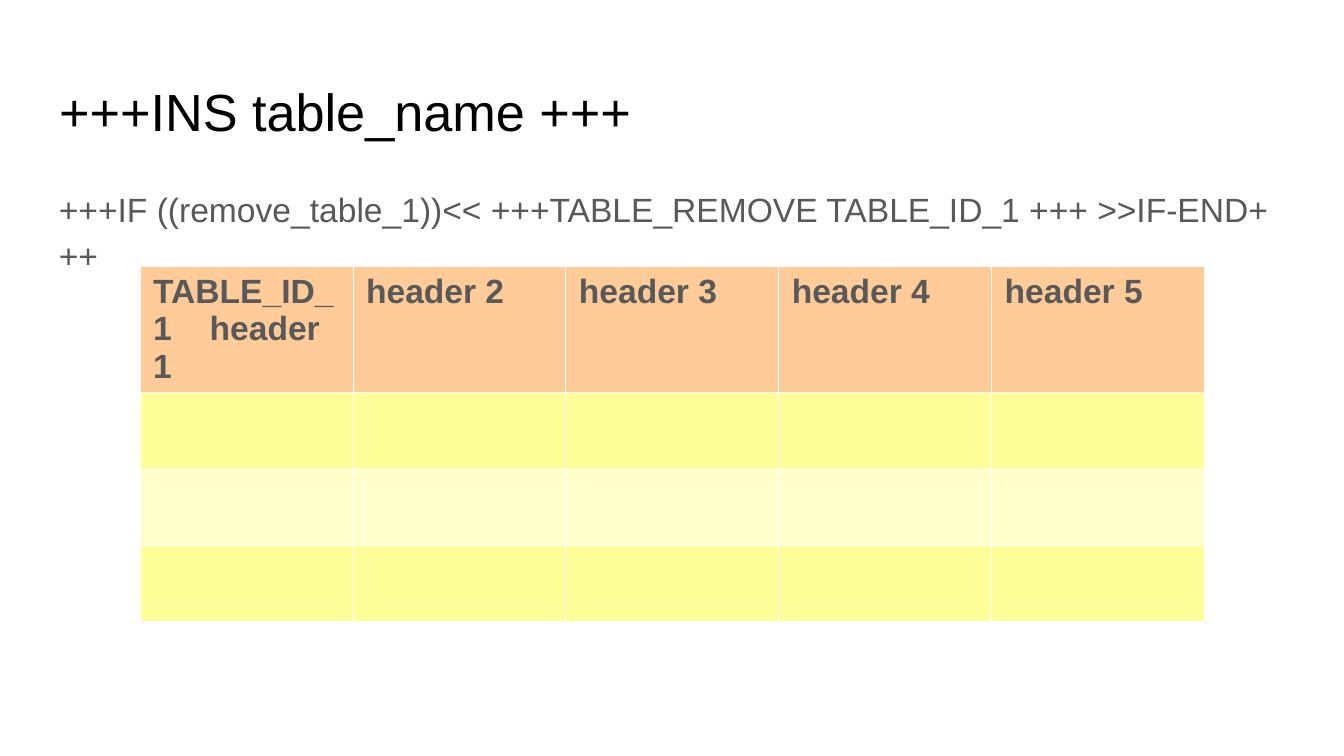
import pptx
import pptx.dml.color
import pptx.enum.text
import pptx.oxml
import pptx.oxml.ns
import pptx.util

SLIDE_WIDTH = pptx.util.Inches(10)
SLIDE_HEIGHT = SLIDE_WIDTH * 9 // 16
GRID_UNIT = SLIDE_WIDTH // 100
FONT = "Arial"
COLORS = {
    "page": "FFFFFF",
    "title": "000000",
    "text": "595959",
    "header": "FFCC99",
    "odd": "FFFF99",
    "even": "FFFFCC",
    "border": "FFFFFF",
}
HEADERS = ["TABLE_ID_1\theader 1"] + [f"header {number}" for number in range(2, 6)]
ROW_FILLS = ["header", "odd", "even", "odd"]
TITLE_BOX = (3.4, 4.9, 93, 6.1)
CONDITION_BOX = (3.4, 12.6, 93, 37.2)
TABLE_BOX = (10.4, 19.8, 79.2, 22.7)


def rgb(key):
    return pptx.dml.color.RGBColor.from_string(COLORS[key])


def add_run(paragraph, wording, size, color, bold=False):
    run = paragraph.add_run()
    run.text = wording
    run.font.name = FONT
    run.font.size = pptx.util.Pt(size)
    run.font.bold = bold
    run.font.color.rgb = rgb(color)


def format_frame(frame):
    frame.word_wrap = True
    frame.auto_size = pptx.enum.text.MSO_AUTO_SIZE.NONE
    frame.vertical_anchor = pptx.enum.text.MSO_ANCHOR.TOP
    frame.margin_left = frame.margin_right = GRID_UNIT
    frame.margin_top = frame.margin_bottom = GRID_UNIT
    paragraph = frame.paragraphs[0]
    paragraph.alignment = pptx.enum.text.PP_ALIGN.LEFT
    return paragraph


def place_title(slide, box):
    title = slide.shapes.title
    title.left, title.top, title.width, title.height = box
    add_run(format_frame(title.text_frame), "+++INS table_name +++", 28, "title")


def place_condition(slide, box):
    condition = slide.shapes.add_textbox(*box)
    paragraph = format_frame(condition.text_frame)
    paragraph.line_spacing = 1.15
    paragraph.space_after = pptx.util.Pt(12)
    wording = "+++IF ((remove_table_1))<< +++TABLE_REMOVE TABLE_ID_1 +++ >>IF-END+++"
    add_run(paragraph, wording, 18, "text")


def add_borders(cell):
    properties = cell._tc.get_or_add_tcPr()
    for index, side in enumerate(("lnL", "lnR", "lnT", "lnB")):
        line = pptx.oxml.parse_xml(
            f'<a:{side} {pptx.oxml.ns.nsdecls("a")} w="{pptx.util.Pt(0.06)}">'
            f'<a:solidFill><a:srgbClr val="{COLORS["border"]}"/></a:solidFill></a:{side}>'
        )
        properties.insert(index, line)


def add_tab_stop(paragraph, distance):
    tab_list = pptx.oxml.parse_xml(
        f'<a:tabLst {pptx.oxml.ns.nsdecls("a")}><a:tab pos="{distance}" algn="l"/></a:tabLst>'
    )
    paragraph._p.get_or_add_pPr().append(tab_list)


def place_table(slide, box):
    table = slide.shapes.add_table(len(ROW_FILLS), len(HEADERS), *box).table
    for row, fill in zip(table.rows, ROW_FILLS):
        for cell in row.cells:
            cell.fill.solid()
            cell.fill.fore_color.rgb = rgb(fill)
            add_borders(cell)
    for cell, header in zip(table.rows[0].cells, HEADERS):
        paragraph = cell.text_frame.paragraphs[0]
        if "\t" in header:
            add_tab_stop(paragraph, pptx.util.Inches(0.42))
        add_run(paragraph, header, 18, "text", bold=True)


def main():
    presentation = pptx.Presentation()
    presentation.slide_width = SLIDE_WIDTH
    presentation.slide_height = SLIDE_HEIGHT
    slide = presentation.slides.add_slide(presentation.slide_layouts[5])
    slide.background.fill.solid()
    slide.background.fill.fore_color.rgb = rgb("page")
    regions = (
        (place_title, TITLE_BOX),
        (place_condition, CONDITION_BOX),
        (place_table, TABLE_BOX),
    )
    for place, box in regions:
        place(slide, [int(units * GRID_UNIT) for units in box])
    presentation.save("out.pptx")


if __name__ == "__main__":
    main()
